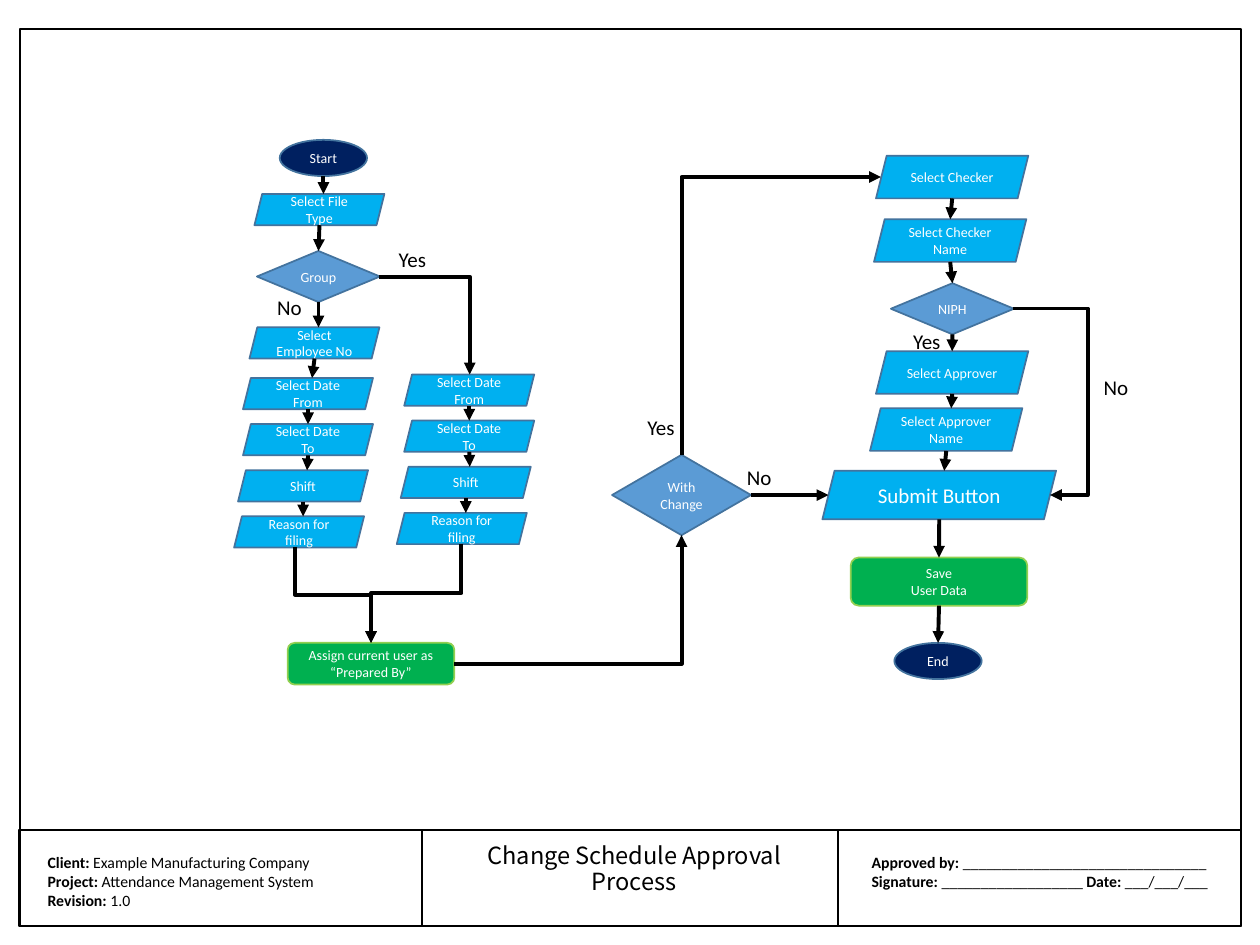
from lxml import etree
from pptx import Presentation
from pptx import util as u
from pptx.dml.color import RGBColor
from pptx.enum import shapes, text
from pptx.oxml.ns import qn

COLORS = {
    "ink": "000000", "paper": "FFFFFF", "navy": "002060", "sky": "00B0F0",
    "blue": "5B9BD5", "edge": "43739E", "green": "00B050", "lime": "92D050",
}
PRESET = shapes.MSO_SHAPE
KINDS = {
    "terminal": (PRESET.OVAL, "navy", "edge"),
    "input": (PRESET.PARALLELOGRAM, "sky", "edge"),
    "decision": (PRESET.DIAMOND, "blue", "edge"),
    "process": (PRESET.ROUNDED_RECTANGLE, "green", "lime"),
}
JOINABLE = (PRESET.DIAMOND, PRESET.ROUNDED_RECTANGLE)
TERMINAL = (1.76, 0.73)
SMALL = (2.62, 0.63)
LARGE = (3.07, 0.86)
CHOICE = (2.48, 1.03)


def rgb(name):
    return RGBColor.from_string(COLORS[name])


class Flowchart:
    font = "Calibri"

    def __init__(self, slide):
        self.slide = slide

    def style(self, paragraph, size, color="ink", align=text.PP_ALIGN.CENTER, font=None):
        paragraph.alignment = align
        paragraph.font.name = font or self.font
        paragraph.font.size = u.Pt(size)
        paragraph.font.color.rgb = rgb(color)

    def title(self, wording, left, top, width, height):
        heading = self.slide.shapes.title
        heading.left, heading.top = u.Cm(left), u.Cm(top)
        heading.width, heading.height = u.Cm(width), u.Cm(height)
        frame = heading.text_frame
        frame.text = wording
        frame.word_wrap = True
        frame.auto_size = text.MSO_AUTO_SIZE.NONE
        frame.vertical_anchor = text.MSO_ANCHOR.TOP
        frame.paragraphs[0].line_spacing = 0.9
        self.style(frame.paragraphs[0], 13.5, font="Noto Sans CJK JP")

    def box(self, preset, left, top, width, height, line):
        shape = self.slide.shapes.add_shape(
            preset, u.Cm(left), u.Cm(top), u.Cm(width), u.Cm(height))
        shape.shadow.inherit = False
        shape.line.color.rgb = rgb(line)
        shape.line.width = u.Pt(1)
        return shape

    def panel(self, left, top, width, height):
        self.box(PRESET.RECTANGLE, left, top, width, height, "ink").fill.background()

    def step(self, kind, wording, left, top, extent, size=8):
        preset, fill, line = KINDS[kind]
        shape = self.box(preset, left, top, *extent, line)
        shape.fill.solid()
        shape.fill.fore_color.rgb = rgb(fill)
        frame = shape.text_frame
        frame.text = wording
        frame.word_wrap = True
        frame.vertical_anchor = text.MSO_ANCHOR.MIDDLE
        for paragraph in frame.paragraphs:
            self.style(paragraph, size, "paper")
        return shape

    def textbox(self, left, top, width, height):
        frame = self.slide.shapes.add_textbox(
            u.Cm(left), u.Cm(top), u.Cm(width), u.Cm(height)).text_frame
        frame.word_wrap = True
        return frame

    def label(self, wording, left, top):
        frame = self.textbox(left, top, 1.45, 0.77)
        frame.text = wording
        self.style(frame.paragraphs[0], 12)

    def details(self, rows, left, top, width, height):
        frame = self.textbox(left, top, width, height)
        for index, row in enumerate(rows):
            paragraph = frame.add_paragraph() if index else frame.paragraphs[0]
            self.style(paragraph, 9, align=text.PP_ALIGN.LEFT)
            for position, wording in enumerate(row):
                run = paragraph.add_run()
                run.text = wording
                run.font.bold = position % 2 == 0

    def connector(self, kind, start, end):
        link = self.slide.shapes.add_connector(
            kind, *(u.Cm(value) for value in (*start, *end)))
        link.line.color.rgb = rgb("ink")
        link.line.width = u.Pt(2.25)
        etree.SubElement(link.line._get_or_add_ln(), qn("a:tailEnd"), type="triangle")
        etree.SubElement(link._element.spPr, qn("a:effectLst"))
        return link

    def arrow(self, start, end, source=None, source_side=2, target=None):
        link = self.connector(shapes.MSO_CONNECTOR.STRAIGHT, start, end)
        if source is not None and source.auto_shape_type in JOINABLE:
            link.begin_connect(source, source_side)
        if target is not None and target.auto_shape_type in JOINABLE:
            link.end_connect(target, 0)

    def flow(self, source, target, lean=0):
        start = ((source.left + source.width / 2) / u.Cm(1),
                 (source.top + source.height) / u.Cm(1))
        end = ((target.left + target.width / 2) / u.Cm(1) + lean, target.top / u.Cm(1))
        self.arrow(start, end, source, 2, target)

    def elbow(self, start, end, preset, downward=False, bend=None):
        if downward:
            mid_x, mid_y = (start[0] + end[0]) / 2, (start[1] + end[1]) / 2
            half_x, half_y = (end[0] - start[0]) / 2, (end[1] - start[1]) / 2
            start = (mid_x - half_y, mid_y + half_x)
            end = (mid_x + half_y, mid_y - half_x)
        link = self.connector(shapes.MSO_CONNECTOR.ELBOW, start, end)
        properties = link._element.spPr
        geometry = properties.find(qn("a:prstGeom"))
        geometry.set("prst", preset)
        if downward:
            properties.find(qn("a:xfrm")).set("rot", "5400000")
        if bend:
            etree.SubElement(geometry.find(qn("a:avLst")), qn("a:gd"),
                             name="adj1", fmla=f"val {bend}")


def main():
    deck = Presentation()
    deck.slide_width, deck.slide_height = u.Cm(25.4), u.Cm(19.05)
    chart = Flowchart(deck.slides.add_slide(deck.slide_layouts[5]))

    chart.panel(0.41, 0.58, 24.61, 18.09)
    for left, width in ((0.38, 8.13), (8.51, 8.38), (16.89, 8.13)):
        chart.panel(left, 16.74, width, 1.93)
    chart.title("Change Schedule Approval Process", 8.76, 16.89, 8.05, 1.42)
    chart.details([("Client:", " Example Manufacturing Company"),
                   ("Project: ", "Attendance Management System"),
                   ("Revision:", " 1.0")], 0.71, 17.07, 7.49, 1.42)
    chart.details([("Approved by: ", "_" * 31),
                   ("Signature: ", "_" * 18, " Date: ", "___/___/___")],
                  17.32, 17.07, 7.8, 1.02)

    start = chart.step("terminal", "Start", 5.64, 2.82, TERMINAL)
    file_type = chart.step("input", "Select File Type", 5.13, 3.91, SMALL)
    group = chart.step("decision", "Group", 5.18, 5.06, CHOICE)
    employee = chart.step("input", "Select Employee No", 5.03, 6.6, SMALL)
    entries = ("Select Date From", "Select Date To", "Shift", "Reason for filing")
    single, grouped = (
        [chart.step("input", entry, left, top + 0.93 * row, SMALL)
         for row, (entry, left) in enumerate(zip(entries, lefts))]
        for top, lefts in ((7.62, (4.9, 4.9, 4.8, 4.72)), (7.55, (8.15, 8.15, 8.08, 8))))
    assign = chart.step("process", "Assign current user as “Prepared By”", 5.8, 12.96, (3.36, 0.84))
    change = chart.step("decision", "With Change", 12.34, 9.17, (2.8, 1.62))

    checker = chart.step("input", "Select Checker", 17.66, 3.14, LARGE)
    checker_name = chart.step("input", "Select Checker Name", 17.62, 4.42, LARGE)
    site = chart.step("decision", "NIPH", 17.96, 5.71, CHOICE)
    approver = chart.step("input", "Select Approver", 17.66, 7.08, LARGE)
    approver_name = chart.step("input", "Select Approver Name", 17.54, 8.23, LARGE)
    submit = chart.step("input", "Submit Button", 16.58, 9.49, (4.71, 0.98), 12)
    save = chart.step("process", "Save\nUser Data", 17.15, 11.24, (3.56, 0.97))
    end = chart.step("terminal", "End", 18.03, 12.96, TERMINAL)

    for source, target, lean in (
            (start, file_type, 0.08), (file_type, group, 0), (group, employee, 0.08),
            (employee, single[0], 0.08), (checker, checker_name, 0),
            (checker_name, site, 0), (site, approver, 0), (approver, approver_name, 0.1),
            (approver_name, submit, 0.1), (submit, save, 0), (save, end, 0)):
        chart.flow(source, target, lean)
    for column in (single, grouped):
        for source, target, lean in zip(column, column[1:], (0, 0.08, 0.08)):
            chart.flow(source, target, lean)
    chart.arrow((15.14, 9.98), (16.7, 9.98), change, 3)

    chart.elbow((7.65, 5.58), (9.47, 7.55), "bentConnector2")
    chart.elbow((5.95, 11.02), (7.48, 12.96), "bentConnector3", True)
    chart.elbow((9.3, 10.96), (7.48, 12.96), "bentConnector3", True)
    chart.elbow((9.16, 13.38), (13.74, 10.79), "bentConnector2")
    chart.elbow((13.74, 9.17), (17.76, 3.57), "bentConnector2", True)
    chart.elbow((20.43, 6.22), (21.17, 9.98), "bentConnector3", bend=202500)

    for wording, left, top in (
            ("No", 14.58, 9.25), ("Yes", 12.6, 8.23), ("Yes", 7.59, 4.85),
            ("No", 5.11, 5.82), ("No", 21.77, 7.42), ("Yes", 17.96, 6.5)):
        chart.label(wording, left, top)

    deck.save("out.pptx")


if __name__ == "__main__":
    main()
